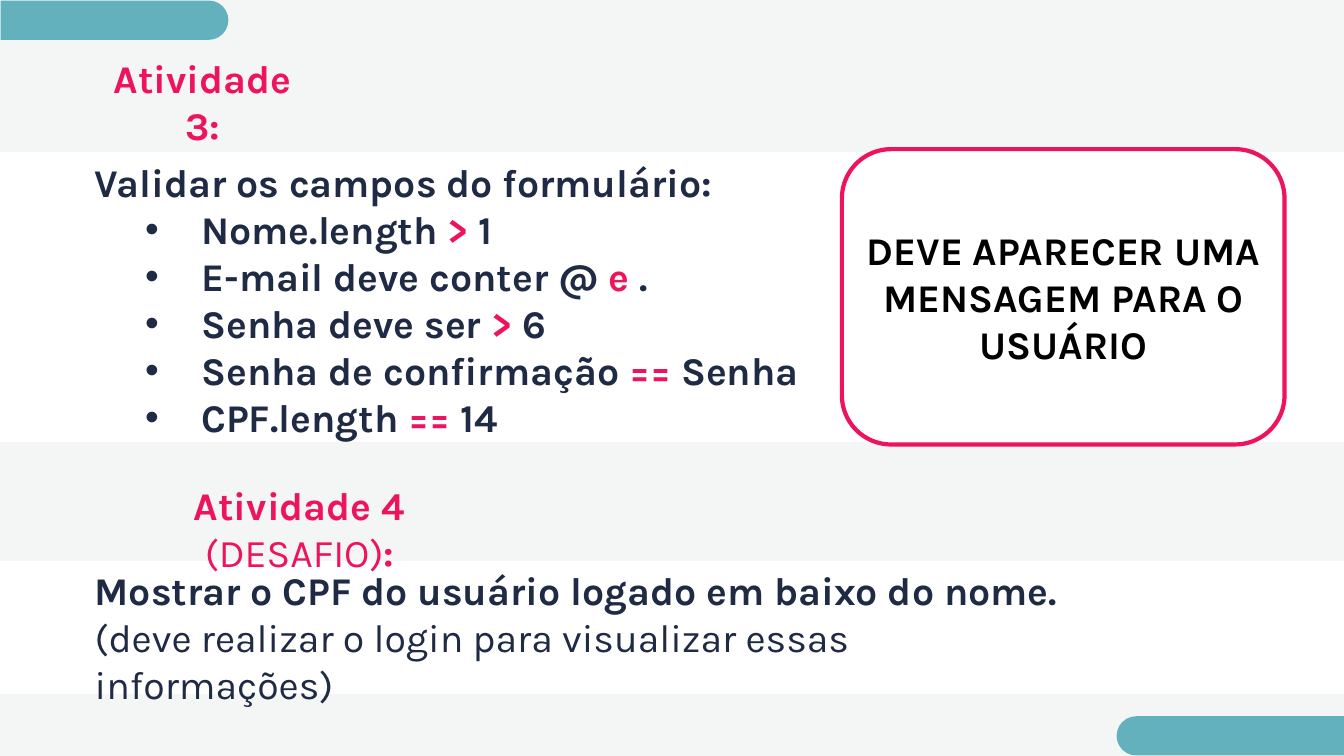
from dataclasses import dataclass
from typing import NamedTuple

from lxml import etree
from pptx import Presentation
from pptx.dml.color import RGBColor
from pptx.enum.shapes import MSO_SHAPE
from pptx.enum.text import MSO_ANCHOR, MSO_AUTO_SIZE, PP_ALIGN
from pptx.oxml.ns import qn
from pptx.util import Emu, Pt

EMU_PER_PX = 9144  # 100 px to the inch
RECTANGLE = MSO_SHAPE.RECTANGLE
ROUNDED = MSO_SHAPE.ROUNDED_RECTANGLE
TAB = MSO_SHAPE.ROUND_2_SAME_RECTANGLE
LEFT, CENTER = PP_ALIGN.LEFT, PP_ALIGN.CENTER
TOP, MIDDLE = MSO_ANCHOR.TOP, MSO_ANCHOR.MIDDLE
GROW, FIXED = MSO_AUTO_SIZE.SHAPE_TO_FIT_TEXT, MSO_AUTO_SIZE.NONE
TITLE_ONLY = 5


@dataclass(frozen=True)
class Theme:
    font: str = "Karla"
    size: int = 28
    background: str = "F4F5F5"
    teal: str = "63B1BC"
    pink: str = "ED145B"
    navy: str = "1F2A44"
    white: str = "FFFFFF"
    black: str = "000000"


THEME = Theme()


class Box(NamedTuple):
    left: int
    top: int
    width: int
    height: int


class Run(NamedTuple):
    text: str
    color: str = THEME.navy
    bold: bool = True


class Line(NamedTuple):
    runs: list[Run]
    bullet: bool = False


class Panel(NamedTuple):
    kind: int
    box: Box
    fill: str
    outline: str | None = None
    outline_width: int = 1
    rotation: int = 0


class Rule(NamedTuple):
    """A check on a form field: subject, highlighted operator, operand."""
    subject: str
    operator: str
    operand: str

    def line(self) -> Line:
        return Line([Run(self.subject), Run(self.operator, THEME.pink), Run(self.operand)], True)


PANELS = [
    Panel(TAB, Box(94, -93, 39, 226), THEME.teal, rotation=90),
    Panel(TAB, Box(1201, 617, 39, 226), THEME.teal, rotation=270),
    Panel(RECTANGLE, Box(0, 557, 1333, 131), THEME.white, THEME.white),
    Panel(RECTANGLE, Box(0, 152, 1333, 286), THEME.white, THEME.white),
]
NOTICE = Panel(ROUNDED, Box(835, 148, 439, 293), THEME.white, THEME.pink, 3)
RULES = [
    Rule("Nome.length ", ">", " 1"),
    Rule("E-mail deve conter @ ", "e", " ."),
    Rule("Senha deve ser ", ">", " 6"),
    Rule("Senha de confirmação ", "==", " Senha"),
    Rule("CPF.length ", "==", " 14"),
]
TITLE_BOX = Box(84, 49, 234, 104)
TITLE = [Line([Run("Atividade 3:", THEME.pink)])]
NOTICE_TEXT = [Line([Run("DEVE APARECER UMA MENSAGEM PARA O USUÁRIO", THEME.black)])]
VALIDATION_BOX = Box(84, 152, 1010, 293)
VALIDATION = [Line([Run("Validar os campos do formulário:")]), *(rule.line() for rule in RULES)]
CHALLENGE_BOX = Box(84, 473, 426, 57)
CHALLENGE = [Line([
    Run("Atividade 4 ", THEME.pink),
    Run("(DESAFIO)", THEME.pink, False),
    Run(":", THEME.pink),
])]
TASK_BOX = Box(84, 557, 975, 104)
TASK = [Line([
    Run("Mostrar o CPF do usuário logado em baixo do nome. "),
    Run("(deve realizar o login para visualizar essas informações)", bold=False),
])]


def px(length: int) -> Emu:
    return Emu(length * EMU_PER_PX)


def place(shape, box: Box) -> None:
    shape.left, shape.top, shape.width, shape.height = map(px, box)


def add_bullet(paragraph) -> None:
    paragraph.level = 1
    properties = paragraph._p.get_or_add_pPr()
    properties.set("marL", str(px(106)))
    properties.set("indent", str(px(-56)))
    etree.SubElement(properties, qn("a:buFont")).set("typeface", "Arial")
    etree.SubElement(properties, qn("a:buChar")).set("char", "•")


def write_text(shape, lines: list[Line], *, align=LEFT, anchor=TOP, fit=GROW) -> None:
    frame = shape.text_frame
    frame.word_wrap = True
    frame.auto_size = fit
    frame.vertical_anchor = anchor
    for index, line in enumerate(lines):
        paragraph = frame.add_paragraph() if index else frame.paragraphs[0]
        paragraph.alignment = align
        if line.bullet:
            add_bullet(paragraph)
        for part in line.runs:
            run = paragraph.add_run()
            run.text = part.text
            run.font.name = THEME.font
            run.font.size = Pt(THEME.size)
            run.font.bold = part.bold
            run.font.color.rgb = RGBColor.from_string(part.color)


def add_panel(slide, panel: Panel):
    shape = slide.shapes.add_shape(panel.kind, *map(px, panel.box))
    shape.shadow.inherit = False
    shape.rotation = panel.rotation
    shape.fill.solid()
    shape.fill.fore_color.rgb = RGBColor.from_string(panel.fill)
    if panel.kind == TAB:
        shape.adjustments[0] = 0.5
    if panel.outline:
        shape.line.color.rgb = RGBColor.from_string(panel.outline)
        shape.line.width = Pt(panel.outline_width)
    else:
        shape.line.fill.background()
    return shape


def add_text(slide, box: Box, lines: list[Line], **text_format) -> None:
    write_text(slide.shapes.add_textbox(*map(px, box)), lines, **text_format)


def main() -> None:
    presentation = Presentation()
    presentation.slide_width, presentation.slide_height = px(1333), px(750)
    slide = presentation.slides.add_slide(presentation.slide_layouts[TITLE_ONLY])
    slide.background.fill.solid()
    slide.background.fill.fore_color.rgb = RGBColor.from_string(THEME.background)

    for panel in PANELS:
        add_panel(slide, panel)
    place(slide.shapes.title, TITLE_BOX)
    write_text(slide.shapes.title, TITLE, align=CENTER)
    add_text(slide, VALIDATION_BOX, VALIDATION)
    add_text(slide, CHALLENGE_BOX, CHALLENGE, align=CENTER)
    add_text(slide, TASK_BOX, TASK)
    notice = add_panel(slide, NOTICE)
    write_text(notice, NOTICE_TEXT, align=CENTER, anchor=MIDDLE, fit=FIXED)
    presentation.save("out.pptx")


if __name__ == "__main__":
    main()
